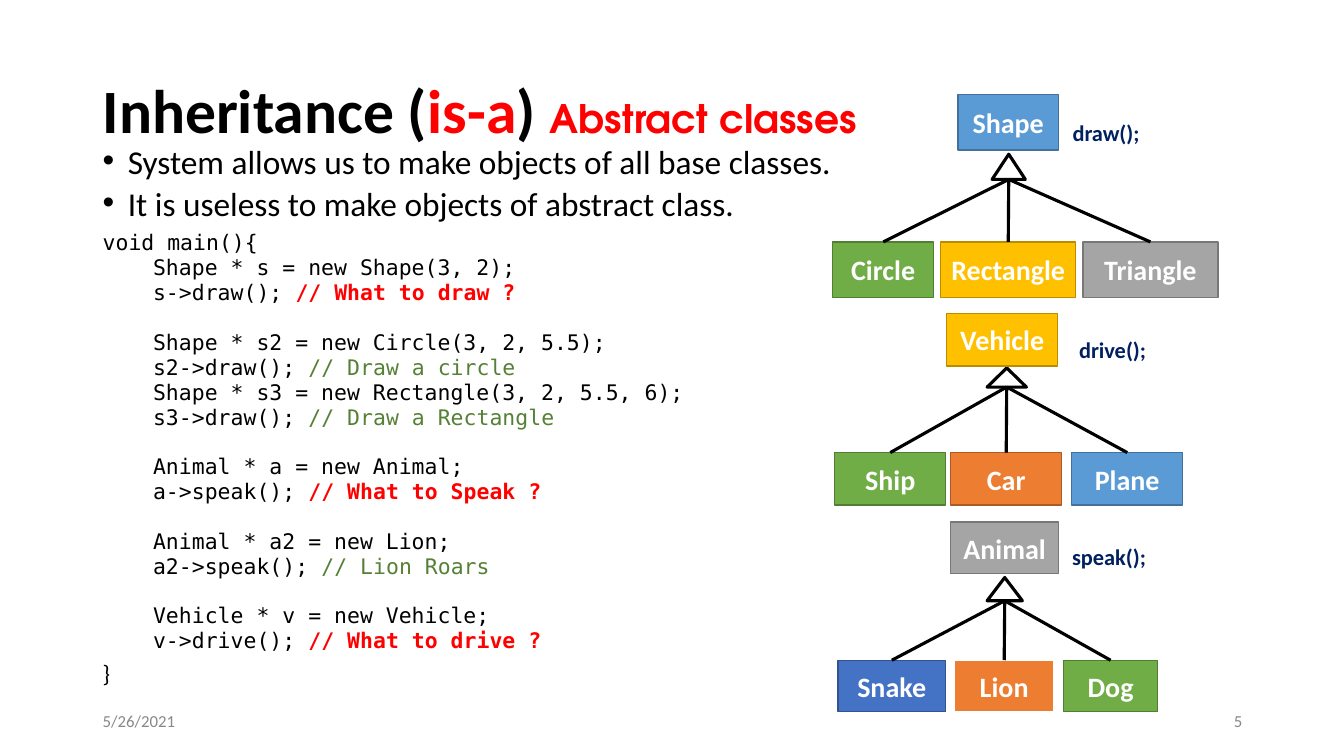
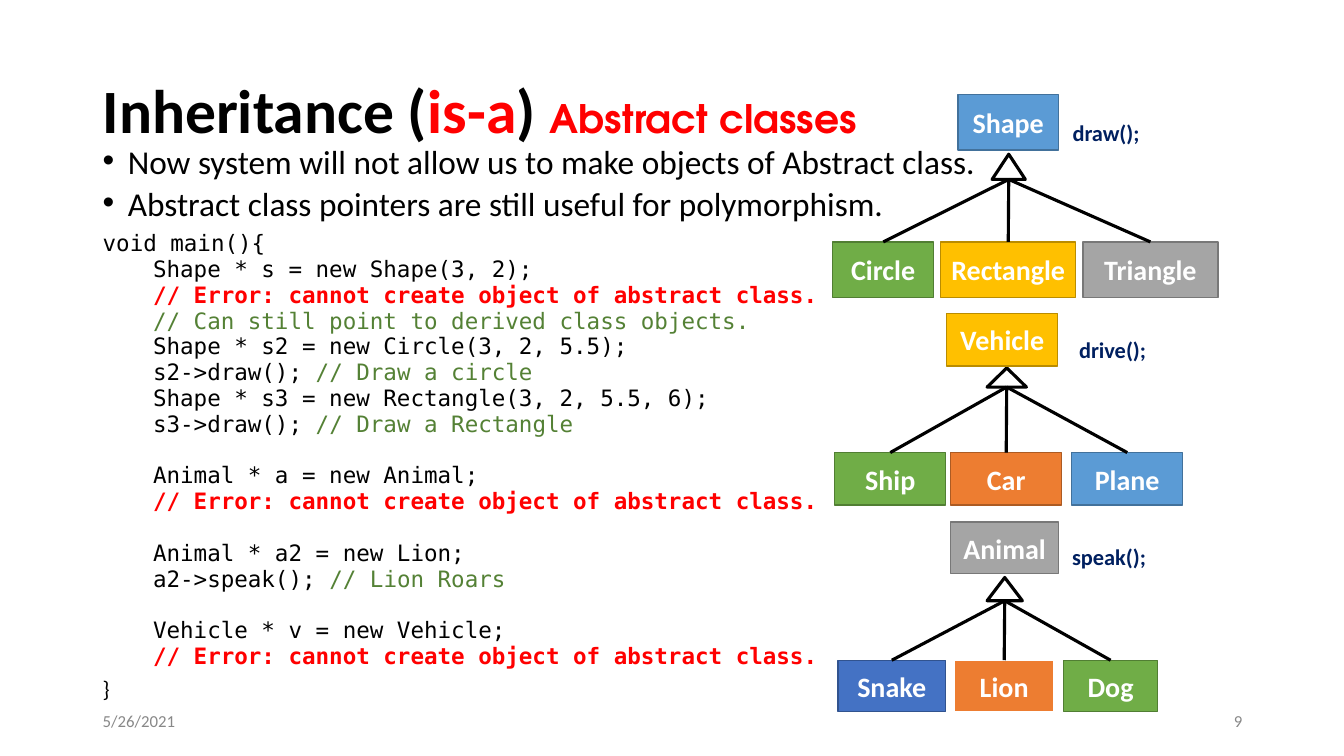
import pptx
import pptx.dml.color
import pptx.enum.shapes
import pptx.enum.text
import pptx.oxml
import pptx.oxml.ns
import pptx.util
import lxml.etree

PX = 9144
COLORS = {
    "black": "000000", "white": "FFFFFF", "red": "FF0000", "comment": "548135",
    "method": "002060", "footer": "888888",
    "blue": "5B9BD5", "blue edge": "42719B",
    "green": "70AD47", "green edge": "517E33",
    "gold": "FFC000", "gold edge": "BA8C00",
    "gray": "A5A5A5", "gray edge": "787878",
    "orange": "ED7D31", "orange edge": "AC5B23",
    "indigo": "4472C4", "indigo edge": "31538F",
}
ALIGN = pptx.enum.text.PP_ALIGN
ANCHOR = pptx.enum.text.MSO_ANCHOR
SHAPE = pptx.enum.shapes.MSO_SHAPE
MONO = "DejaVu Sans Mono"
CODE_TIGHTNESS = 0.7
CODE_LINE_HEIGHT = 1.164

TITLE_BOX = (92, 40, 1150, 145)
FOOTER_BOX = (92, 695, 1150, 40)
BODY_TOP_LEFT = (92, 146)
BODY_WIDTH = 1190

TREES = [
    {
        "box": (828, 311, 345, 190), "node height": 52,
        "root": ("Vehicle", "gold", 111, 110),
        "triangle": (151, 54, 39, 19),
        "leaves": [("Ship", "green", 0, 110), ("Car", "orange", 115, 110), ("Plane", "blue", 235, 110)],
        "method": ("drive();", 227, 20, 97, 31),
    },
    {
        "box": (831, 518, 317, 188), "node height": 51,
        "root": ("Animal", "gray", 112, 107),
        "triangle": (148, 55, 35, 23),
        "leaves": [("Snake", "indigo", 0, 107), ("Lion", "orange", 115, 100), ("Dog", "green", 224, 93)],
        "method": ("speak();", 222, 19, 94, 30),
        "plain edge": "Lion",
    },
    {
        "box": (826, 94, 382, 201), "node height": 55,
        "root": ("Shape", "blue", 124, 100),
        "triangle": (158, 59, 33, 25),
        "leaves": [("Circle", "green", 0, 100), ("Rectangle", "gold", 107, 134), ("Triangle", "gray", 248, 134)],
        "method": ("draw();", 227, 21, 88, 32),
    },
]

ERROR = ("", "// Error: cannot create object of abstract class.", "red")
DRAWING = [
    ("Shape * s2 = new Circle(3, 2, 5.5);",),
    ("s2->draw(); ", "// Draw a circle", "comment"),
    ("Shape * s3 = new Rectangle(3, 2, 5.5, 6);",),
    ("s3->draw(); ", "// Draw a Rectangle", "comment"),
]
LION = [("Animal * a2 = new Lion;",), ("a2->speak(); ", "// Lion Roars", "comment")]
NEW_SHAPE = ("Shape * s = new Shape(3, 2);",)
NEW_ANIMAL = ("Animal * a = new Animal;",)
NEW_VEHICLE = ("Vehicle * v = new Vehicle;",)

SLIDES = [
    {
        "number": "5", "height": 549, "code size": 15.3, "brace size": 17,
        "bullets": ["System allows us to make objects of all base classes.",
                    "It is useless to make objects of abstract class."],
        "blocks": [
            [NEW_SHAPE, ("s->draw(); ", "// What to draw ?", "red")],
            DRAWING,
            [NEW_ANIMAL, ("a->speak(); ", "// What to Speak ?", "red")],
            LION,
            [NEW_VEHICLE, ("v->drive(); ", "// What to drive ?", "red")],
        ],
    },
    {
        "number": "9", "height": 575, "code size": 16.1, "brace size": 16.1,
        "bullets": ["Now system will not allow us to make objects of Abstract class.",
                    "Abstract class pointers are still useful for polymorphism."],
        "blocks": [
            [NEW_SHAPE, ERROR,
             ("", "// Can still point to derived class objects.", "comment"), *DRAWING],
            [NEW_ANIMAL, ERROR],
            LION,
            [NEW_VEHICLE, ERROR],
        ],
    },
]


def rgb(name):
    return pptx.dml.color.RGBColor.from_string(COLORS[name])


def scaled(*lengths):
    return [round(length * PX) for length in lengths]


def apply(target, values):
    for name, value in values.items():
        setattr(target, name, value)


def add_run(paragraph, text, size, color="black", bold=False, font="Calibri"):
    run = paragraph.add_run()
    run.text = text
    apply(run.font, {"size": pptx.util.Pt(size), "bold": bold, "name": font})
    run.font.color.rgb = rgb(color)


def prepare_frame(shape, anchor=ANCHOR.MIDDLE):
    side, end = scaled(10, 5)
    apply(shape.text_frame, {
        "word_wrap": True, "vertical_anchor": anchor, "margin_left": side,
        "margin_right": side, "margin_top": end, "margin_bottom": end,
    })
    return shape.text_frame


def add_text(shapes, box, runs, align=ALIGN.LEFT, spacing=1.0):
    frame = prepare_frame(shapes.add_textbox(*scaled(*box)))
    paragraph = frame.paragraphs[0]
    apply(paragraph, {"alignment": align, "line_spacing": spacing})
    for run in runs:
        add_run(paragraph, *run)


def add_preset(shapes, preset, box, fill, edge, weight):
    shape = shapes.add_shape(preset, *scaled(*box))
    shape.shadow.inherit = False
    shape.fill.solid()
    shape.fill.fore_color.rgb = rgb(fill)
    shape.line.color.rgb = rgb(edge)
    shape.line.width = pptx.util.Pt(weight)
    return shape


def add_node(shapes, box, name, color, plain_edge):
    edge, weight = ("white", 1.5) if plain_edge else (color + " edge", 1)
    shape = add_preset(shapes, SHAPE.RECTANGLE, box, color, edge, weight)
    paragraph = prepare_frame(shape).paragraphs[0]
    paragraph.alignment = ALIGN.CENTER
    add_run(paragraph, name, 20, "white", True)


def add_branch(shapes, start, end):
    connector = shapes.add_connector(
        pptx.enum.shapes.MSO_CONNECTOR.STRAIGHT, *scaled(*start, *end))
    connector.line.color.rgb = rgb("black")
    connector.line.width = pptx.util.Pt(2.25)
    lxml.etree.SubElement(connector.element.spPr, pptx.oxml.ns.qn("a:effectLst"))


def add_tree(slide, tree):
    shapes = slide.shapes.add_group_shape().shapes
    left, top, _, height = tree["box"]
    node_height = tree["node height"]
    leaf_top = top + height - node_height
    x, y, width, depth = tree["triangle"]
    add_preset(shapes, SHAPE.ISOSCELES_TRIANGLE, (left + x, top + y, width, depth),
               "white", "black", 2.25)
    junction = (left + x + width / 2, top + y + depth)
    nodes = [(tree["root"], top)] + [(leaf, leaf_top) for leaf in tree["leaves"]]
    for (name, color, x, width), node_top in nodes:
        add_node(shapes, (left + x, node_top, width, node_height), name, color,
                 name == tree.get("plain edge"))
        if node_top == leaf_top:
            add_branch(shapes, junction, (left + x + width / 2, leaf_top))
    text, x, y, width, depth = tree["method"]
    add_text(shapes, (left + x, top + y, width, depth),
             [(text, 16, "method", True)], ALIGN.CENTER)


def indent(paragraph, margin, hanging=0):
    properties = paragraph._p.get_or_add_pPr()
    for name, length in (("marL", margin), ("indent", -hanging)):
        properties.set(name, str(length * PX))
    return properties


def add_bullet(paragraph):
    properties = indent(paragraph, 25, 25)
    qn = pptx.oxml.ns.qn
    color = lxml.etree.SubElement(properties, qn("a:buClr"))
    lxml.etree.SubElement(color, qn("a:srgbClr"), val=COLORS["black"])
    lxml.etree.SubElement(properties, qn("a:buFont"), typeface="Arial")
    lxml.etree.SubElement(properties, qn("a:buChar"), char="•")


def add_body(slide, box, content):
    frame = prepare_frame(slide.shapes.add_textbox(*scaled(*box)), ANCHOR.TOP)
    size = content["code size"]

    def add_line(before):
        first = not frame.paragraphs[0].runs
        paragraph = frame.paragraphs[0] if first else frame.add_paragraph()
        apply(paragraph, {"line_spacing": CODE_TIGHTNESS,
                          "space_before": pptx.util.Pt(0 if first else before)})
        return paragraph

    for text in content["bullets"]:
        paragraph = add_line(10)
        add_bullet(paragraph)
        add_run(paragraph, text, 23.8)
    add_run(add_line(10), "void main(){", size, font=MONO)
    block_gap = round(10 + size * CODE_LINE_HEIGHT * CODE_TIGHTNESS, 1)
    for block_index, block in enumerate(content["blocks"]):
        for line_index, (code, *comment) in enumerate(block):
            paragraph = add_line(block_gap if block_index and not line_index else 5)
            indent(paragraph, 50)
            if code:
                add_run(paragraph, code, size, font=MONO)
            if comment:
                text, color = comment
                add_run(paragraph, text, size, color, color == "red", MONO)
    add_run(add_line(10), "}", content["brace size"])


def add_title(slide, box):
    add_text(slide.shapes, box, [
        ("Inheritance (", 44, "black", True),
        ("is-a", 44, "red", True),
        (") ", 44, "black", True),
        ("Abstract classes", 28, "red", True, "TeX Gyre Adventor"),
    ], spacing=0.9)


def add_footer(slide, box, number):
    left, top, width, height = box
    field = 300
    for text, x, align in (("5/26/2021", left, ALIGN.LEFT),
                           (number, left + width - field, ALIGN.RIGHT)):
        add_text(slide.shapes, (x, top, field, height), [(text, 12, "footer")], align)


def add_class_slide(presentation, content):
    slide = presentation.slides.add_slide(presentation.slide_layouts[6])
    add_title(slide, TITLE_BOX)
    add_footer(slide, FOOTER_BOX, content["number"])
    add_body(slide, (*BODY_TOP_LEFT, BODY_WIDTH, content["height"]), content)
    for tree in TREES:
        add_tree(slide, tree)


def main():
    presentation = pptx.Presentation()
    apply(presentation, dict(zip(("slide_width", "slide_height"), scaled(1333, 750))))
    for content in SLIDES:
        add_class_slide(presentation, content)
    presentation.save("out.pptx")


if __name__ == "__main__":
    main()
